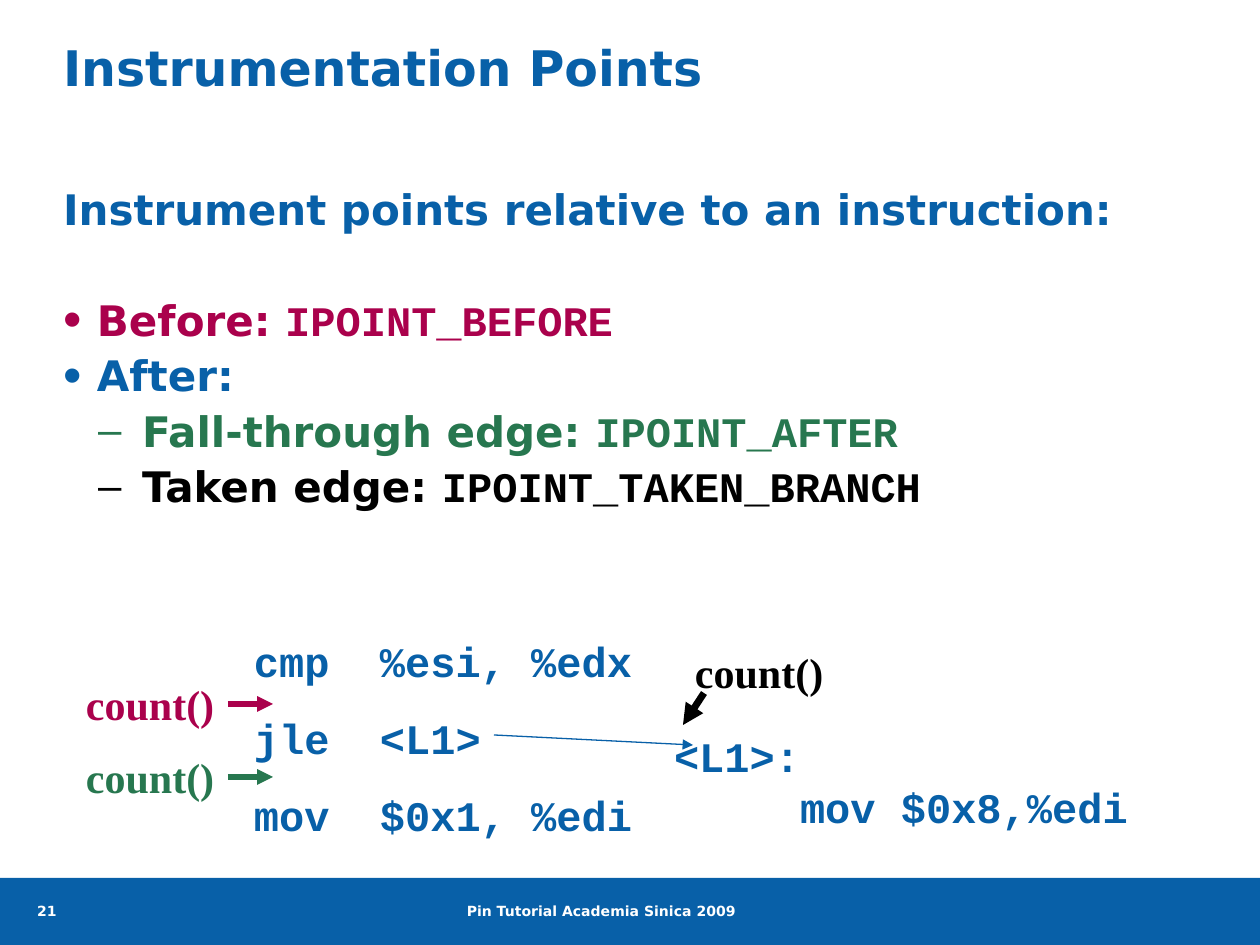
from lxml import etree
from pptx import Presentation
from pptx.dml.color import RGBColor
from pptx.enum.shapes import MSO_CONNECTOR, MSO_SHAPE
from pptx.enum.text import MSO_ANCHOR, MSO_AUTO_SIZE, PP_ALIGN
from pptx.oxml.ns import qn
from pptx.util import Pt

SCALE = 914400 / 126
LINE = MSO_CONNECTOR.STRAIGHT
RECT = MSO_SHAPE.RECTANGLE
TOP, MIDDLE = MSO_ANCHOR.TOP, MSO_ANCHOR.MIDDLE
LEFT, CENTER = PP_ALIGN.LEFT, PP_ALIGN.CENTER
FIXED = MSO_AUTO_SIZE.NONE
BLUE, RED, GREEN, BLACK, WHITE = "0860A8", "AA014C", "27774F", "000000", "FFFFFF"
SANS, MONO, SERIF = "DejaVu Sans", "Courier New", "Times New Roman"


def px(num):
    return round(num * SCALE)


def color(code):
    return RGBColor.from_string(code)


def apply(item, vals):
    for name, val in vals.items():
        setattr(item, name, val)


def place(shape, box):
    apply(shape, dict(zip(("left", "top", "width", "height"), map(px, box))))


def frame(shape, pad=(0, 0), anchor=TOP):
    text = shape.text_frame
    side, edge = map(px, pad)
    apply(text, {
        "word_wrap": True, "auto_size": FIXED, "vertical_anchor": anchor,
        "margin_left": side, "margin_right": side,
        "margin_top": edge, "margin_bottom": edge,
    })
    return text


def add_run(para, text, font, size, code):
    run = para.add_run()
    run.text = text
    apply(run.font, {"name": font, "size": Pt(size), "bold": True})
    run.font.color.rgb = color(code)


def set_tab(para, left):
    stops = etree.SubElement(para._p.get_or_add_pPr(), qn("a:tabLst"))
    etree.SubElement(stops, qn("a:tab"), pos=str(px(left)), algn="l")


def write(text, rows, font, size, code, **form):
    for num, row in enumerate(rows):
        para = text.paragraphs[0] if num == 0 else text.add_paragraph()
        if "\t" in row:
            set_tab(para, 126)
        vals = {"alignment": LEFT, "space_before": Pt(0), **form}
        if num == 0:
            vals["space_before"] = Pt(0)
        apply(para, vals)
        add_run(para, row, font, size, code)


def add_text(slide, box, rows, font, size, code, pad=(13, 6), anchor=TOP, **form):
    shape = slide.shapes.add_textbox(*map(px, box))
    write(frame(shape, pad, anchor), rows, font, size, code, **form)


def add_bar(slide, box, code):
    bar = slide.shapes.add_shape(RECT, *map(px, box))
    bar.shadow.inherit = False
    bar.fill.solid()
    bar.fill.fore_color.rgb = color(code)
    bar.line.fill.background()


def add_arrow(slide, ends, code, width):
    arrow = slide.shapes.add_connector(LINE, *map(px, ends))
    arrow.line.width = Pt(width)
    arrow.line.color.rgb = color(code)
    etree.SubElement(arrow.line._get_or_add_ln(), qn("a:tailEnd"), type="triangle")
    etree.SubElement(arrow._element.spPr, qn("a:effectLst"))


def set_mark(para, mark, code, size, left, hang):
    props = para._p.get_or_add_pPr()
    props.set("marL", str(px(left)))
    props.set("indent", str(px(-hang)))
    if not mark:
        etree.SubElement(props, qn("a:buNone"))
        return
    tint = etree.SubElement(props, qn("a:buClr"))
    etree.SubElement(tint, qn("a:srgbClr"), val=code)
    etree.SubElement(props, qn("a:buSzPct"), val=str(size * 1000))
    etree.SubElement(props, qn("a:buChar"), char=mark)


def fill_body(shape):
    marks = [(None, 100, 0, 0), ("•", 125, 34, 34), ("–", 100, 79, 44)]
    items = [
        (0, "Instrument points relative to an instruction:", "", BLUE, 0),
        (1, "Before: ", "IPOINT_BEFORE", RED, 32),
        (1, "After:", "", BLUE, 0),
        (2, "Fall-through edge: ", "IPOINT_AFTER", GREEN, 0),
        (2, "Taken edge: ", "IPOINT_TAKEN_BRANCH", BLACK, 0),
    ]
    text = frame(shape)
    for num, (level, label, code, tint, gap) in enumerate(items):
        para = text.paragraphs[0] if num == 0 else text.add_paragraph()
        mark, size, left, hang = marks[level]
        set_mark(para, mark, tint, size, left, hang)
        apply(para, {"level": level, "alignment": LEFT, "line_spacing": 1.1,
                     "space_before": Pt(gap)})
        add_run(para, label, SANS, 24, tint)
        if code:
            add_run(para, code, MONO, 24, tint)


def main():
    deck = Presentation()
    apply(deck, {"slide_width": px(1260), "slide_height": px(945)})
    slide = deck.slides.add_slide(deck.slide_layouts[1])
    title, body = slide.placeholders

    add_bar(slide, (0, 878, 1260, 67), BLUE)
    add_text(slide, (447, 890, 309, 42), ["Pin Tutorial Academia Sinica 2009"],
             SANS, 8, WHITE, (0, 0), MIDDLE, alignment=CENTER)
    add_text(slide, (37, 890, 58, 42), ["21"], SANS, 8, WHITE, (0, 0), MIDDLE)

    place(title, (63, 37, 1082, 68))
    write(frame(title), ["Instrumentation Points"], SANS, 28, BLUE)
    place(body, (63, 178, 1134, 336))
    fill_body(body)

    add_text(slide, (241, 630, 441, 217),
             ["cmp\t%esi, %edx", "jle\t<L1>", "mov\t$0x1, %edi"],
             MONO, 24, BLUE, space_before=Pt(15))
    add_text(slide, (661, 746, 483, 90), ["<L1>:", "\tmov $0x8,%edi"],
             MONO, 24, BLUE, line_spacing=0.5, space_before=Pt(15))
    add_arrow(slide, (494, 735, 693, 745), BLUE, 0.75)

    for top, code in ((673, RED), (746, GREEN)):
        add_text(slide, (73, top, 190, 63), ["count()"], SERIF, 24, code)
        add_arrow(slide, (228, top + 31, 273, top + 31), code, 3)
    add_arrow(slide, (704, 693, 683, 725), BLACK, 4)
    add_text(slide, (682, 641, 231, 63), ["count()"], SERIF, 24, BLACK)

    deck.save("out.pptx")


if __name__ == "__main__":
    main()
